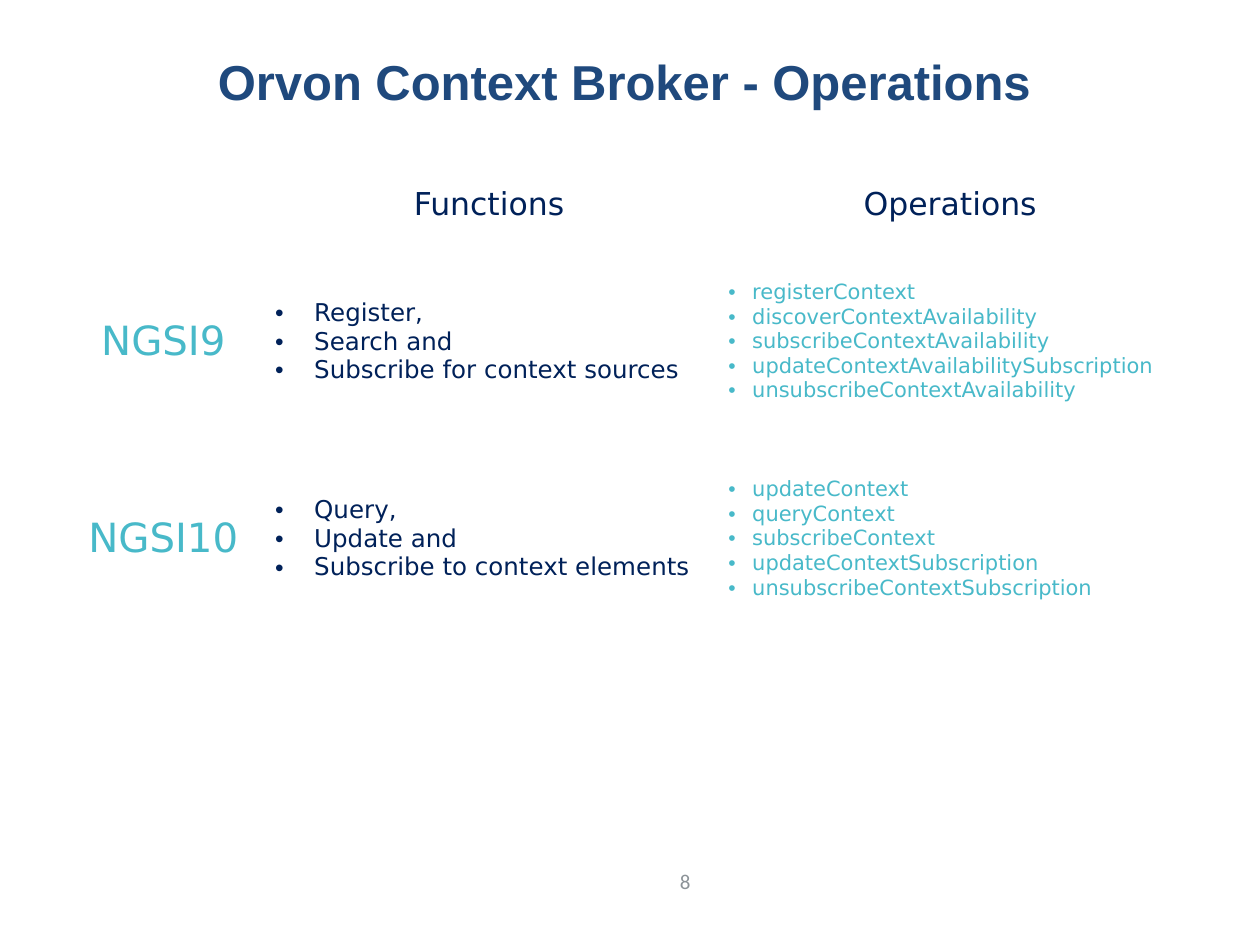
from lxml import etree
from pptx import Presentation
from pptx.oxml import ns
from pptx.enum import text
from pptx.dml.color import RGBColor
from pptx.util import Cm, Pt

COLOURS = {"title": "1F497D", "navy": "002159", "teal": "48B9C9", "grey": "8C9398"}
HEADING = "Orvon Context Broker - Operations"
PAGE = "8"
HEADERS = ["", "Functions", "Operations"]
INTERFACES = [
    ("NGSI9",
     ["Register,", "Search and", "Subscribe for context sources"],
     ["registerContext", "discoverContextAvailability", "subscribeContextAvailability",
      "updateContextAvailabilitySubscription", "unsubscribeContextAvailability"]),
    ("NGSI10",
     ["Query,", "Update and", "Subscribe to context elements"],
     ["updateContext", "queryContext", "subscribeContext",
      "updateContextSubscription", "unsubscribeContextSubscription"]),
]
COLUMN_WIDTHS = [3.99, 9.14, 9.45]
ROW_HEIGHTS = [1.8, 3.71, 4.24]
COLUMN_FORMATS = [
    dict(size=23, colour="teal"),
    dict(size=14, colour="navy", align="LEFT", indent=0.79),
    dict(size=12, colour="teal", align="LEFT", indent=0.48),
]


def write(frame, lines, size=18, colour="navy", font="DejaVu Sans", bold=False,
          align="CENTER", indent=None):
    frame.word_wrap = True
    for number, line in enumerate(lines):
        paragraph = frame.add_paragraph() if number else frame.paragraphs[0]
        paragraph.alignment = getattr(text.PP_ALIGN, align)
        run = paragraph.add_run()
        run.text = line
        run.font.size = Pt(size)
        run.font.name = font
        run.font.bold = bold
        run.font.color.rgb = RGBColor.from_string(COLOURS[colour])
        if indent:
            properties = paragraph._p.get_or_add_pPr()
            properties.set("marL", str(Cm(indent)))
            properties.set("indent", str(-Cm(indent)))
            etree.SubElement(properties, ns.qn("a:buFont"), typeface="Arial")
            etree.SubElement(properties, ns.qn("a:buChar"), char="•")


def place(shape, left, top, width, height):
    shape.left, shape.top = Cm(left), Cm(top)
    shape.width, shape.height = Cm(width), Cm(height)


def add_operations(slide):
    table = slide.shapes.add_table(
        len(ROW_HEIGHTS), len(COLUMN_WIDTHS), Cm(1.3), Cm(3.23),
        Cm(sum(COLUMN_WIDTHS)), Cm(sum(ROW_HEIGHTS))).table
    table.first_row = table.horz_banding = False
    for column, width in zip(table.columns, COLUMN_WIDTHS):
        column.width = Cm(width)
    for row, height in zip(table.rows, ROW_HEIGHTS):
        row.height = Cm(height)
    for cell in table.iter_cells():
        cell.fill.background()
        cell.vertical_anchor = text.MSO_ANCHOR.MIDDLE
    for column, header in enumerate(HEADERS):
        if header:
            write(table.cell(0, column).text_frame, [header])
    for row, (interface, functions, operations) in enumerate(INTERFACES, 1):
        for column, lines in enumerate([[interface], functions, operations]):
            write(table.cell(row, column).text_frame, lines, **COLUMN_FORMATS[column])


def main():
    deck = Presentation()
    deck.slide_width, deck.slide_height = Cm(25.4), Cm(19.05)
    slide = deck.slides.add_slide(deck.slide_layouts[5])

    heading = slide.shapes.title
    place(heading, 1.27, 0.76, 22.63, 1.73)
    heading.text_frame.auto_size = text.MSO_AUTO_SIZE.NONE
    heading.text_frame.vertical_anchor = text.MSO_ANCHOR.MIDDLE
    write(heading.text_frame, [HEADING], size=28, colour="title", font="Arial", bold=True)

    page = slide.shapes.add_textbox(Cm(11.3), Cm(17.25), Cm(2.87), Cm(1.02))
    page.text_frame.vertical_anchor = text.MSO_ANCHOR.MIDDLE
    write(page.text_frame, [PAGE], size=12, colour="grey", font="Calibri", align="RIGHT")

    add_operations(slide)
    deck.save("out.pptx")


if __name__ == "__main__":
    main()
